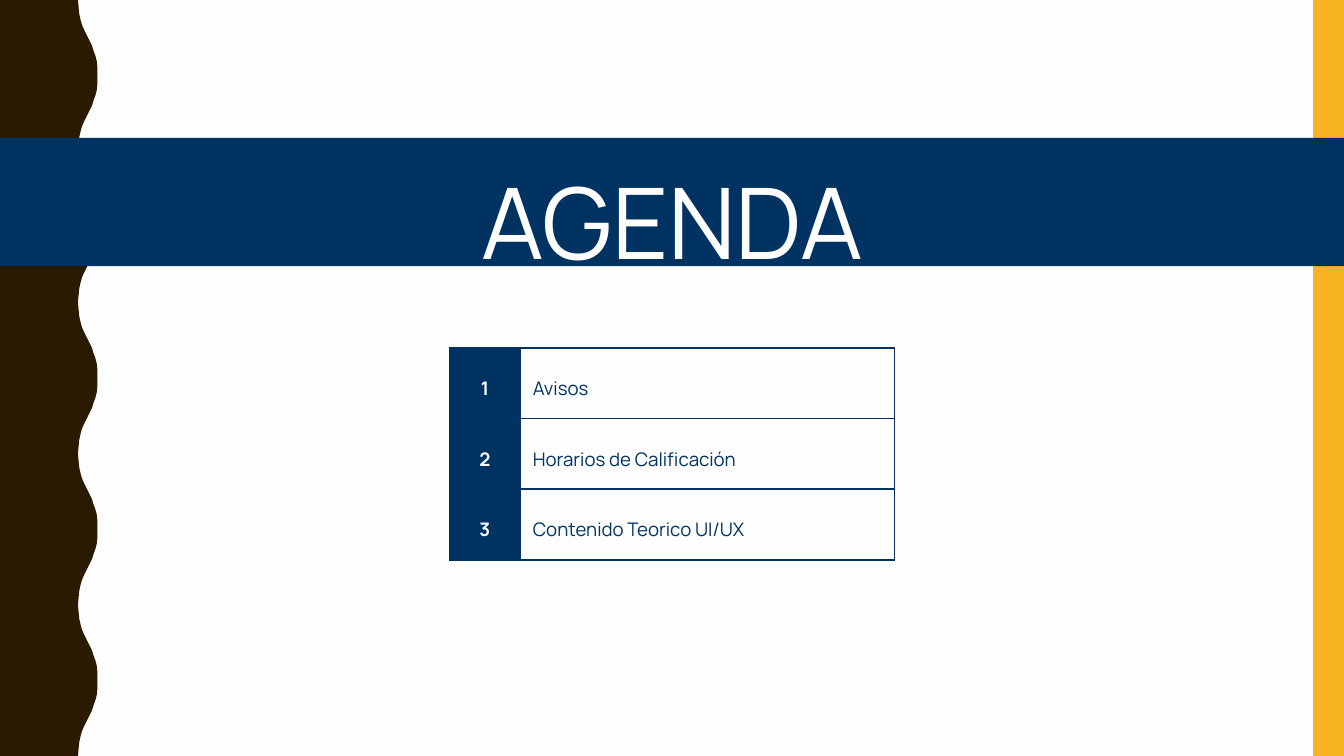
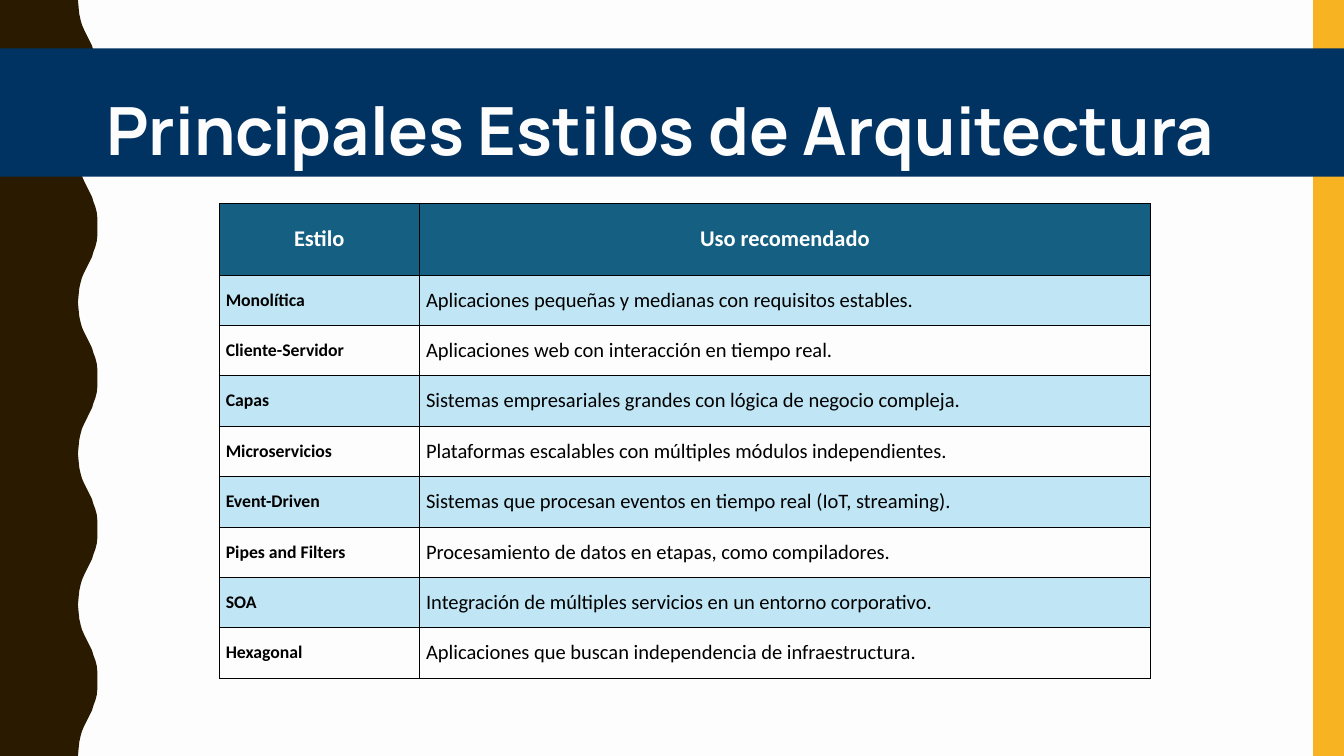
from dataclasses import dataclass
from typing import Optional

from lxml.etree import SubElement
from pptx import Presentation
from pptx.dml.color import RGBColor
from pptx.enum.shapes import MSO_SHAPE as Preset
from pptx.enum.text import MSO_ANCHOR as Anchor, MSO_AUTO_SIZE as AutoSize, PP_ALIGN as Align
from pptx.oxml.ns import qn
from pptx.util import Inches, Pt


@dataclass(frozen=True)
class Theme:
    paper: str = "FDFDFD"
    brown: str = "2A1A00"
    amber: str = "F8B323"
    navy: str = "013362"
    teal: str = "156082"
    sky: str = "C0E6F5"
    white: str = "FFFFFF"
    black: str = "000000"
    title_font: str = "Manrope"
    grid_font: str = "Calibri"
    agenda_title: float = 105.8
    styles_title: float = 71.2
    agenda_text: float = 20
    header_text: float = 24
    style_name: float = 19
    style_use: float = 22


THEME = Theme()
SLIDE_WIDTH, SLIDE_HEIGHT = 20, 11.25


@dataclass(frozen=True)
class TextStyle:
    font: str
    size: float
    colour: str
    bold: bool = False
    align: Align = Align.LEFT
    line_spacing: float = 1.0


@dataclass(frozen=True)
class Banner:
    text: str
    band_top: float
    box: tuple[float, float, float, float]
    style: TextStyle


@dataclass(frozen=True)
class Cell:
    text: str
    style: TextStyle
    fill: Optional[str] = None


@dataclass(frozen=True)
class Grid:
    left: float
    top: float
    column_widths: list[float]
    row_heights: list[float]
    rows: list[list[Cell]]
    border_colour: str
    border_width: float
    inset: float


def paint(shape, colour: str) -> None:
    shape.shadow.inherit = False
    shape.fill.solid()
    shape.fill.fore_color.rgb = RGBColor.from_string(colour)
    shape.line.fill.background()


def set_text(frame, text: str, style: TextStyle) -> None:
    frame.text = text
    paragraph = frame.paragraphs[0]
    paragraph.alignment = style.align
    paragraph.line_spacing = style.line_spacing
    font = paragraph.runs[0].font
    font.name, font.size, font.bold = style.font, Pt(style.size), style.bold
    font.color.rgb = RGBColor.from_string(style.colour)


def wave_edge() -> list[tuple[float, float]]:
    """Points of the wavy edge: one half wave, mirrored and repeated."""
    period, waves = 2.25, 5
    xs = [1.16, 1.17, 1.18, 1.2, 1.22, 1.25, 1.28, 1.31, 1.34, 1.37, 1.39, 1.42, 1.44, 1.45, 1.45]
    ys = [0, 0.11, 0.21, 0.3, 0.37, 0.44, 0.5, 0.56, 0.62, 0.68, 0.75, 0.83, 0.91, 1.01, 1.12]
    half = list(zip(xs, ys))
    wave = half + [(x, period - y) for x, y in reversed(half[1:-1])]
    edge = [(x, y + period * i) for i in range(waves) for x, y in wave]
    return edge + [(xs[0], SLIDE_HEIGHT)]


def decorate_master(master, slide) -> None:
    """Draw the side bands on a slide and move them to the master."""
    master.background.fill.solid()
    master.background.fill.fore_color.rgb = RGBColor.from_string(THEME.paper)
    outline = slide.shapes.build_freeform(0, 0)
    points = wave_edge() + [(0, SLIDE_HEIGHT)]
    outline.add_line_segments([(Inches(x), Inches(y)) for x, y in points], close=True)
    wave = outline.convert_to_shape()
    amber_bar = slide.shapes.add_shape(
        Preset.RECTANGLE, Inches(19.54), 0, Inches(0.47), Inches(SLIDE_HEIGHT))
    for index, (band, colour) in enumerate([(wave, THEME.brown), (amber_bar, THEME.amber)]):
        paint(band, colour)
        band.element.nvSpPr.cNvPr.set("id", str(100 + index))
        master.shapes.element.insert(2 + index, band.element)


def add_banner(slide, banner: Banner) -> None:
    overhang = 0.64
    band = slide.shapes.add_shape(
        Preset.RECTANGLE, Inches(-overhang), Inches(banner.band_top),
        Inches(SLIDE_WIDTH + 2 * overhang), Inches(1.91))
    paint(band, THEME.navy)
    slide.shapes.element.insert(2, band.element)  # behind the title

    title = slide.shapes.title
    title.left, title.top, title.width, title.height = map(Inches, banner.box)
    frame = title.text_frame
    frame.margin_left = frame.margin_top = frame.margin_right = frame.margin_bottom = 0
    frame.word_wrap = True
    frame.vertical_anchor = Anchor.TOP
    frame.auto_size = AutoSize.SHAPE_TO_FIT_TEXT
    set_text(frame, banner.text, banner.style)


def set_borders(cell, colour: str, width: float) -> None:
    properties = cell._tc.get_or_add_tcPr()
    for side in ("a:lnL", "a:lnR", "a:lnT", "a:lnB"):
        line = SubElement(properties, qn(side), w=str(Pt(width)))
        SubElement(SubElement(line, qn("a:solidFill")), qn("a:srgbClr"), val=colour)


def add_grid(slide, grid: Grid) -> None:
    table = slide.shapes.add_table(
        len(grid.rows), len(grid.column_widths), Inches(grid.left), Inches(grid.top),
        Inches(sum(grid.column_widths)), Inches(sum(grid.row_heights))).table
    table.first_row = table.horz_banding = False
    for column, width in zip(table.columns, grid.column_widths):
        column.width = Inches(width)
    for row, height, contents in zip(table.rows, grid.row_heights, grid.rows):
        row.height = Inches(height)
        for cell, content in zip(row.cells, contents):
            cell.margin_left = cell.margin_right = Inches(grid.inset)
            cell.margin_top = cell.margin_bottom = Inches(grid.inset)
            cell.vertical_anchor = Anchor.MIDDLE
            set_text(cell.text_frame, content.text, content.style)
            set_borders(cell, grid.border_colour, grid.border_width)
            if content.fill:
                cell.fill.solid()
                cell.fill.fore_color.rgb = RGBColor.from_string(content.fill)
            else:
                cell.fill.background()


def build_agenda(slide) -> None:
    add_banner(slide, Banner(
        "AGENDA", 2.05, (6.5, 2.04, 7.01, 1.78),
        TextStyle(THEME.title_font, THEME.agenda_title, THEME.paper, False, Align.CENTER, 1.2)))

    number = TextStyle(THEME.title_font, THEME.agenda_text, THEME.paper, True, Align.CENTER, 1.4)
    topic = TextStyle(THEME.title_font, THEME.agenda_text, THEME.navy, line_spacing=1.4)
    topics = ["Avisos", "Horarios de Calificación", "Contenido Teorico UI/UX"]
    rows = [[Cell(str(i), number, THEME.navy), Cell(text, topic)]
            for i, text in enumerate(topics, 1)]
    add_grid(slide, Grid(6.69, 5.18, [1.05, 5.57], [1.05] * len(rows), rows,
                         THEME.navy, 2.07, 0.19))


def build_styles(slide) -> None:
    add_banner(slide, Banner(
        "Principales Estilos de Arquitectura", 0.72, (-0.43, 0.85, 20.51, 1.2),
        TextStyle(THEME.title_font, THEME.styles_title, THEME.paper, True, Align.CENTER, 1.4)))

    header = TextStyle(THEME.grid_font, THEME.header_text, THEME.white, True, Align.CENTER)
    name = TextStyle(THEME.grid_font, THEME.style_name, THEME.black, True)
    use = TextStyle(THEME.grid_font, THEME.style_use, THEME.black)
    styles = [
        ("Monolítica", "Aplicaciones pequeñas y medianas con requisitos estables."),
        ("Cliente-Servidor", "Aplicaciones web con interacción en tiempo real."),
        ("Capas", "Sistemas empresariales grandes con lógica de negocio compleja."),
        ("Microservicios", "Plataformas escalables con múltiples módulos independientes."),
        ("Event-Driven", "Sistemas que procesan eventos en tiempo real (IoT, streaming)."),
        ("Pipes and Filters", "Procesamiento de datos en etapas, como compiladores."),
        ("SOA", "Integración de múltiples servicios en un entorno corporativo."),
        ("Hexagonal", "Aplicaciones que buscan independencia de infraestructura."),
    ]
    rows = [[Cell(text, header, THEME.teal) for text in ("Estilo", "Uso recomendado")]]
    for i, (style_name, style_use) in enumerate(styles):
        fill = THEME.sky if i % 2 == 0 else None
        rows.append([Cell(style_name, name, fill), Cell(style_use, use, fill)])
    add_grid(slide, Grid(3.26, 3.03, [2.98, 10.88], [1.06] + [0.75] * len(styles), rows,
                         THEME.black, 0.75, 0.1))


def main() -> None:
    deck = Presentation()
    deck.slide_width, deck.slide_height = Inches(SLIDE_WIDTH), Inches(SLIDE_HEIGHT)
    title_only = deck.slide_layouts[5]
    agenda = deck.slides.add_slide(title_only)
    decorate_master(deck.slide_master, agenda)
    build_agenda(agenda)
    build_styles(deck.slides.add_slide(title_only))
    deck.save("out.pptx")


if __name__ == "__main__":
    main()
